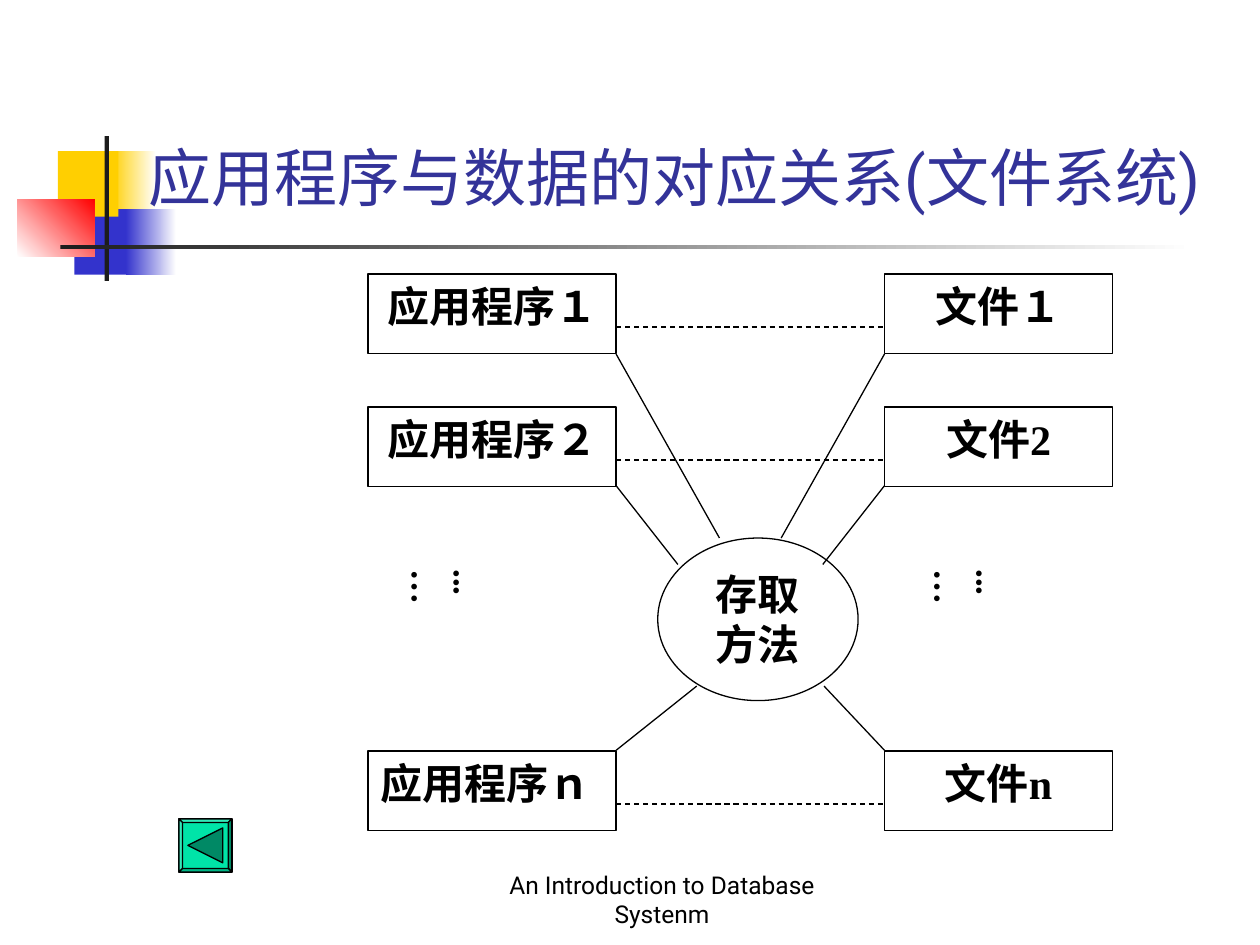
from dataclasses import dataclass

from lxml import etree
from pptx import Presentation, util as u
from pptx.dml.color import RGBColor
from pptx.enum import dml, shapes, text
from pptx.oxml import ns

BLACK = RGBColor(0x00, 0x00, 0x00)
WHITE = RGBColor(0xFF, 0xFF, 0xFF)
INK = RGBColor(0x1C, 0x1C, 0x1C)
YELLOW = RGBColor(0xFF, 0xCF, 0x01)
BLUE = RGBColor(0x33, 0x33, 0xCC)
RED = RGBColor(0xFF, 0x00, 0x00)
TITLE_BLUE = RGBColor(0x33, 0x33, 0x99)
GREEN = RGBColor(0x00, 0xE4, 0xA8)
GREEN_LIGHT = RGBColor(0x33, 0xE9, 0xB9)
GREEN_SHADE = RGBColor(0x00, 0xB6, 0x86)
GREEN_DARK = RGBColor(0x00, 0x89, 0x65)

COLUMNS, ROWS = 100, 75
CELL = u.Inches(0.1)
SERIF, SANS = "Times New Roman", "Roboto"
RECT = shapes.MSO_SHAPE.RECTANGLE


@dataclass
class Box:
    """A region measured in grid columns and rows."""

    left: float
    top: float
    width: float
    height: float

    def inner(self, left, top, width, height):
        """Return a box offset from this one."""
        return Box(self.left + left, self.top + top, width, height)

    def point(self, x, y):
        """Return the page position of a point in this box."""
        return self.left + x, self.top + y

    def lengths(self):
        """Return the four lengths of the box."""
        return [lengthen(v) for v in (self.left, self.top, self.width, self.height)]


def lengthen(cells):
    """Turn grid cells into a length."""
    return u.Emu(int(cells * CELL))


def write(shape, wording, font=SERIF, size=24, color=BLACK, bold=False,
          align=text.PP_ALIGN.CENTER, anchor=text.MSO_ANCHOR.TOP):
    """Put formatted text into a shape."""
    frame = shape.text_frame
    frame.word_wrap = True
    frame.vertical_anchor = anchor
    para = frame.paragraphs[0]
    para.alignment = align
    span = para.add_run()
    span.text = wording
    span.font.name, span.font.size, span.font.bold = font, u.Pt(size), bold
    span.font.color.rgb = color
    return frame


def outline(item):
    """Give an item the thin black line."""
    item.line.color.rgb = BLACK
    item.line.width = u.Pt(0.75)


def paint_block(page, box, color, fade=None, angle=0):
    """Draw a borderless block, plain or fading to a second colour."""
    block = page.shapes.add_shape(RECT, *box.lengths())
    block.shadow.inherit = False
    block.line.fill.background()
    if fade is None:
        block.fill.solid()
        block.fill.fore_color.rgb = color
        return
    block.fill.gradient()
    block.fill.gradient_angle = angle
    for stop, tone in zip(block.fill.gradient_stops, (color, fade)):
        stop.color.rgb = tone


def draw_node(page, box, wording, kind=RECT, align=text.PP_ALIGN.CENTER):
    """Draw a labelled white node."""
    node = page.shapes.add_shape(kind, *box.lengths())
    node.shadow.inherit = False
    node.fill.solid()
    node.fill.fore_color.rgb = WHITE
    outline(node)
    write(node, wording, bold=True, align=align)


def draw_link(page, start, end, dashed=False):
    """Join two page positions with a line."""
    ends = [lengthen(v) for v in (*start, *end)]
    link = page.shapes.add_connector(shapes.MSO_CONNECTOR.STRAIGHT, *ends)
    outline(link)
    if dashed:
        link.line.dash_style = dml.MSO_LINE.DASH
    etree.SubElement(link._element.spPr, ns.qn("a:effectLst"))


def draw_ornament(page, box):
    """Draw the coloured squares and the crossing bars."""
    for area, *paint in (
        ((7.4, 1.2, 3.6, 5.2), YELLOW, WHITE),
        ((4.5, 5.8, 4.6, 5.2), BLUE),
        ((3.2, 1.2, 4.8, 5.2), YELLOW),
        ((8.6, 5.8, 4, 5.2), BLUE, WHITE),
        ((0, 5, 6.1, 4.6), WHITE, RED, 45),
        ((6.9, 0, 0.35, 11.5), INK),
        ((3.4, 8.65, 90, 0.35), INK, WHITE),
    ):
        paint_block(page, box.inner(*area), *paint)


def draw_text(page, box, wording, **style):
    """Add a text box."""
    label = page.shapes.add_textbox(*box.lengths())
    return write(label, wording, **style)


def draw_dots(page, box):
    """Add the vertical dots between the rows of nodes."""
    frame = draw_text(page, box, "...…", size=20, bold=True, align=text.PP_ALIGN.LEFT)
    frame.margin_left, frame.margin_right = lengthen(0.5), lengthen(2.2)
    frame.margin_top = frame.margin_bottom = lengthen(1)
    frame._txBody.bodyPr.set("vert", "eaVert")


def draw_diagram(page, box):
    """Draw programs and files joined through the access method."""
    program_width, file_left, file_width, height = 19.7, 41, 18.1, 6.3
    rows = (
        (0, "１", "１", text.PP_ALIGN.CENTER),
        (10.55, "２", "2", text.PP_ALIGN.CENTER),
        (37.85, "ｎ", "n", text.PP_ALIGN.JUSTIFY),
    )
    for top, program, file, align in rows:
        draw_node(page, box.inner(0, top, program_width, height), f"应用程序{program}", align=align)
        draw_node(page, box.inner(file_left, top, file_width, height), f"文件{file}")
        middle = top + 4.2
        draw_link(page, box.point(program_width, middle), box.point(file_left, middle), dashed=True)
    draw_node(page, box.inner(23, 20.95, 15.9, 12.9), "存取方法", shapes.MSO_SHAPE.OVAL)
    for corner, left_x, right_x, rim in (
        (6.35, 27.9, 32.8, 20.95),
        (16.8, 24.6, 36.1, 23.05),
        (37.8, 26.1, 36.2, 32.7),
    ):
        draw_link(page, box.point(program_width, corner), box.point(left_x, rim))
        draw_link(page, box.point(file_left, corner), box.point(right_x, rim))
    for left in (6.5, 48):
        draw_dots(page, box.inner(left, 22.45, 5.3, 6.7))


def draw_back_button(page, box):
    """Draw the bevelled button with its back arrow."""
    far, rim = box.width, 0.28
    near = far - rim
    outer = ((0, 0), (far, 0), (far, far), (0, far))
    inner = ((rim, rim), (near, rim), (near, near), (rim, near))
    faces = [(outer, GREEN)]
    for side, tone in enumerate((GREEN_LIGHT, GREEN_DARK, GREEN_SHADE, GREEN_LIGHT)):
        after = (side + 1) % 4
        faces.append(((outer[side], outer[after], inner[after], inner[side]), tone))
    middle, reach = far / 2, far * 0.33
    faces.append((((middle - reach, middle), (middle + reach, middle - reach),
                   (middle + reach, middle + reach)), GREEN_DARK))
    for corners, tone in faces:
        points = [tuple(lengthen(v) for v in box.point(*corner)) for corner in corners]
        builder = page.shapes.build_freeform(*points[0])
        builder.add_line_segments(points[1:], close=True)
        face = builder.convert_to_shape()
        face.shadow.inherit = False
        face.fill.solid()
        face.fill.fore_color.rgb = tone
        outline(face)


def main():
    """Build the slide and save it."""
    deck = Presentation()
    deck.slide_width, deck.slide_height = lengthen(COLUMNS), lengthen(ROWS)
    page = deck.slides.add_slide(deck.slide_layouts[6])
    draw_ornament(page, Box(1.4, 10.8, 93.4, 11.5))
    draw_text(page, Box(36.7, 69.2, 31.7, 5), "An Introduction to Database Systenm",
              font=SANS, size=14, anchor=text.MSO_ANCHOR.BOTTOM)
    draw_text(page, Box(10.8, 5, 86.7, 12.5), "应用程序与数据的对应关系(文件系统)", font=SANS, size=36,
              color=TITLE_BLUE, align=text.PP_ALIGN.LEFT, anchor=text.MSO_ANCHOR.BOTTOM)
    draw_diagram(page, Box(29.2, 21.75, 59.1, 44.15))
    draw_back_button(page, Box(14.2, 65, 4.2, 4.2))
    deck.save("out.pptx")


if __name__ == "__main__":
    main()
